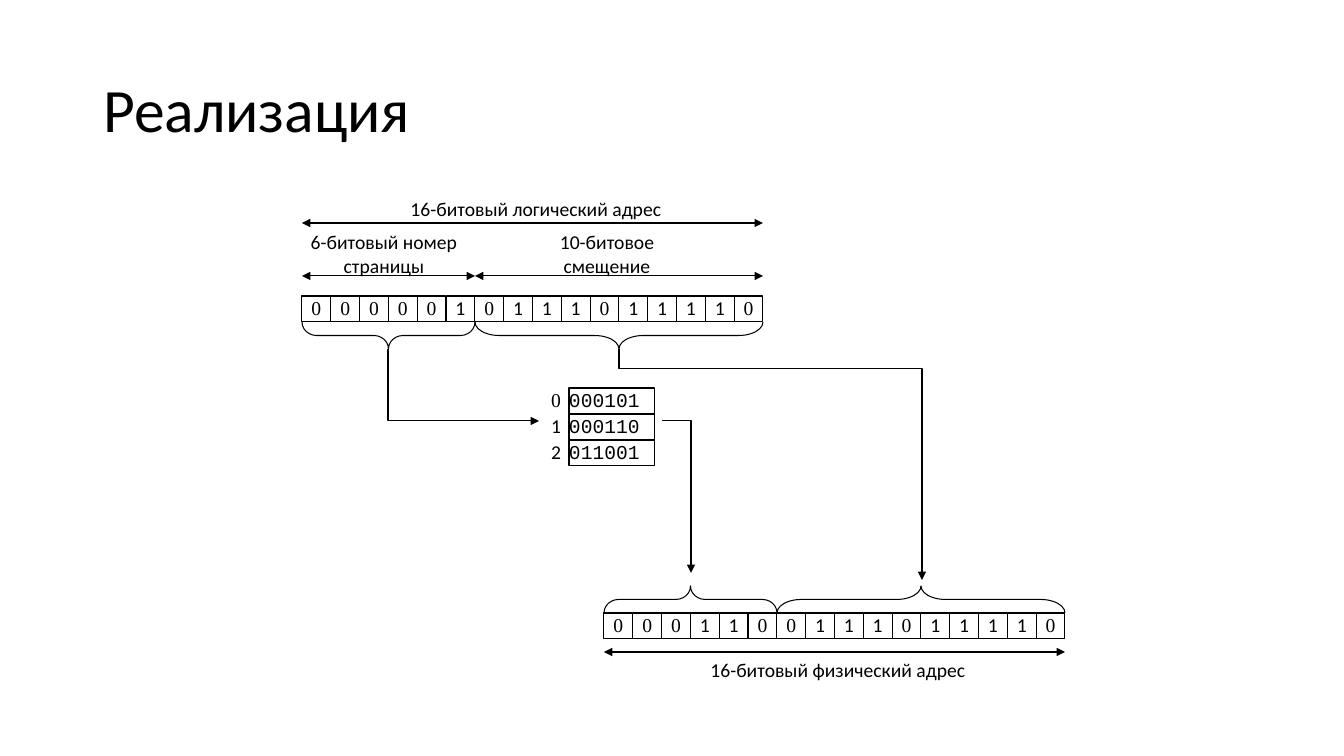
from lxml import etree
from pptx import Presentation
from pptx.dml.color import RGBColor
from pptx.enum.shapes import MSO_CONNECTOR, MSO_SHAPE
from pptx.enum.text import MSO_ANCHOR, PP_ALIGN
from pptx.oxml.ns import qn
from pptx.util import Pt

SCALE = 914400 / 100.8  # EMU in one px
RECTANGLE, BRACE = MSO_SHAPE.RECTANGLE, MSO_SHAPE.LEFT_BRACE
STRAIGHT = MSO_CONNECTOR.STRAIGHT
LEFT, CENTER, RIGHT = PP_ALIGN.LEFT, PP_ALIGN.CENTER, PP_ALIGN.RIGHT
TOP, MIDDLE = MSO_ANCHOR.TOP, MSO_ANCHOR.MIDDLE
COLORS = {name: RGBColor.from_string(value) for name, value in
          {"ink": "000000", "paper": "FFFFFF"}.items()}
ROW_WIDTH, PAGE_WIDTH, CELL_HEIGHT = 461, 173, 26
LOGICAL_LEFT, LOGICAL_TOP = 302, 296
PHYSICAL_LEFT, PHYSICAL_TOP = 604, 613


def box(*lengths):
    return [round(length * SCALE) for length in lengths]


def set_text(shape, text, font_name, alignment):
    frame = shape.text_frame
    frame.word_wrap = True
    frame.vertical_anchor = TOP
    frame.margin_left = frame.margin_top = frame.margin_right = frame.margin_bottom = 0
    frame.text = text
    paragraph = frame.paragraphs[0]
    paragraph.alignment = alignment
    paragraph.font.size = Pt(14)
    paragraph.font.name = font_name
    paragraph.font.color.rgb = COLORS["ink"]


presentation = Presentation()
presentation.slide_width, presentation.slide_height = box(1344, 756)
slide = presentation.slides.add_slide(presentation.slide_layouts[5])
shapes = slide.shapes
outlined = []

# Title
title = shapes.title
title.left, title.top, title.width, title.height = box(93, 40, 1159, 146)
title.text_frame.text = "Реализация"
title.text_frame.vertical_anchor = MIDDLE
heading = title.text_frame.paragraphs[0]
heading.alignment = LEFT
heading.line_spacing = 0.9
heading.font.size = Pt(44)
heading.font.name = "Calibri"
heading.font.color.rgb = COLORS["ink"]

# Address bits and page table rows
cells = []
for left, top, bits in [(LOGICAL_LEFT, LOGICAL_TOP, "0000010111011110"),
                        (PHYSICAL_LEFT, PHYSICAL_TOP, "0001100111011110")]:
    pitch = ROW_WIDTH / len(bits)
    for index, bit in enumerate(bits):
        font_name = "Times New Roman" if bit == "0" else "Calibri"
        cells.append((left + index * pitch, top, pitch, bit, font_name, CENTER))

labels = [
    (294, 230, 180, 46, "6-битовый номер страницы", "Calibri", CENTER),
    (517, 230, 180, 46, "10-битовое смещение", "Calibri", CENTER),
    (345, 197, 382, 26, "16-битовый логический адрес", "Calibri", CENTER),
    (647, 658, 382, 26, "16-битовый физический адрес", "Calibri", CENTER),
]
for index, page_frame in enumerate(["000101", "000110", "011001"]):
    top = 388 + index * CELL_HEIGHT
    cells.append((569, top, 86, page_frame, "Courier New", LEFT))
    font_name = "Times New Roman" if index == 0 else "Calibri"
    labels.append((525, top, 36, CELL_HEIGHT, str(index), font_name, RIGHT))

for left, top, width, text, font_name, alignment in cells:
    cell = shapes.add_shape(RECTANGLE, *box(left, top, width, CELL_HEIGHT))
    cell.shadow.inherit = False
    cell.fill.solid()
    cell.fill.fore_color.rgb = COLORS["paper"]
    set_text(cell, text, font_name, alignment)
    outlined.append((cell, []))

# Labels
for left, top, width, height, text, font_name, alignment in labels:
    label = shapes.add_textbox(*box(left, top, width, height))
    set_text(label, text, font_name, alignment)

# Braces: upright left braces turned about their centres
BRACE_DEPTH = 27
for row_left, top, rotation in [(LOGICAL_LEFT, LOGICAL_TOP + CELL_HEIGHT, 270),
                                (PHYSICAL_LEFT, PHYSICAL_TOP - BRACE_DEPTH, 90)]:
    for offset, span, curve in [(0, PAGE_WIDTH, 0.54),
                                (PAGE_WIDTH, ROW_WIDTH - PAGE_WIDTH, 0.9)]:
        turn = (span - BRACE_DEPTH) / 2
        brace = shapes.add_shape(BRACE, *box(row_left + offset + turn, top - turn,
                                             BRACE_DEPTH, span))
        brace.rotation = rotation
        brace.adjustments[0] = curve
        brace.shadow.inherit = False
        brace.fill.background()
        outlined.append((brace, []))

# Dimension arrows
for left, width, y in [(LOGICAL_LEFT, PAGE_WIDTH, 276),
                       (LOGICAL_LEFT + PAGE_WIDTH, ROW_WIDTH - PAGE_WIDTH, 276),
                       (LOGICAL_LEFT, ROW_WIDTH, 223),
                       (PHYSICAL_LEFT, ROW_WIDTH, 652)]:
    dimension = shapes.add_connector(STRAIGHT, *box(left, y, left + width, y))
    etree.SubElement(dimension.line._get_or_add_ln().getparent(), qn("a:effectLst"))
    outlined.append((dimension, ["a:headEnd", "a:tailEnd"]))

# Translation routes
for start, *bends in [[(388, 349), (388, 421), (539, 421)],
                      [(619, 349), (619, 369), (922, 369), (922, 580)],
                      [(662, 421), (691, 421), (691, 573)]]:
    builder = shapes.build_freeform(*start, scale=SCALE)
    builder.add_line_segments(bends, close=False)
    route = builder.convert_to_shape()
    route.shadow.inherit = False
    route.fill.background()
    outlined.append((route, ["a:tailEnd"]))

# Outlines and arrowheads
for shape, arrowheads in outlined:
    shape.line.color.rgb = COLORS["ink"]
    shape.line.width = Pt(0.75)
    for arrowhead in arrowheads:
        etree.SubElement(shape.line._get_or_add_ln(), qn(arrowhead), type="triangle")

presentation.save("out.pptx")
